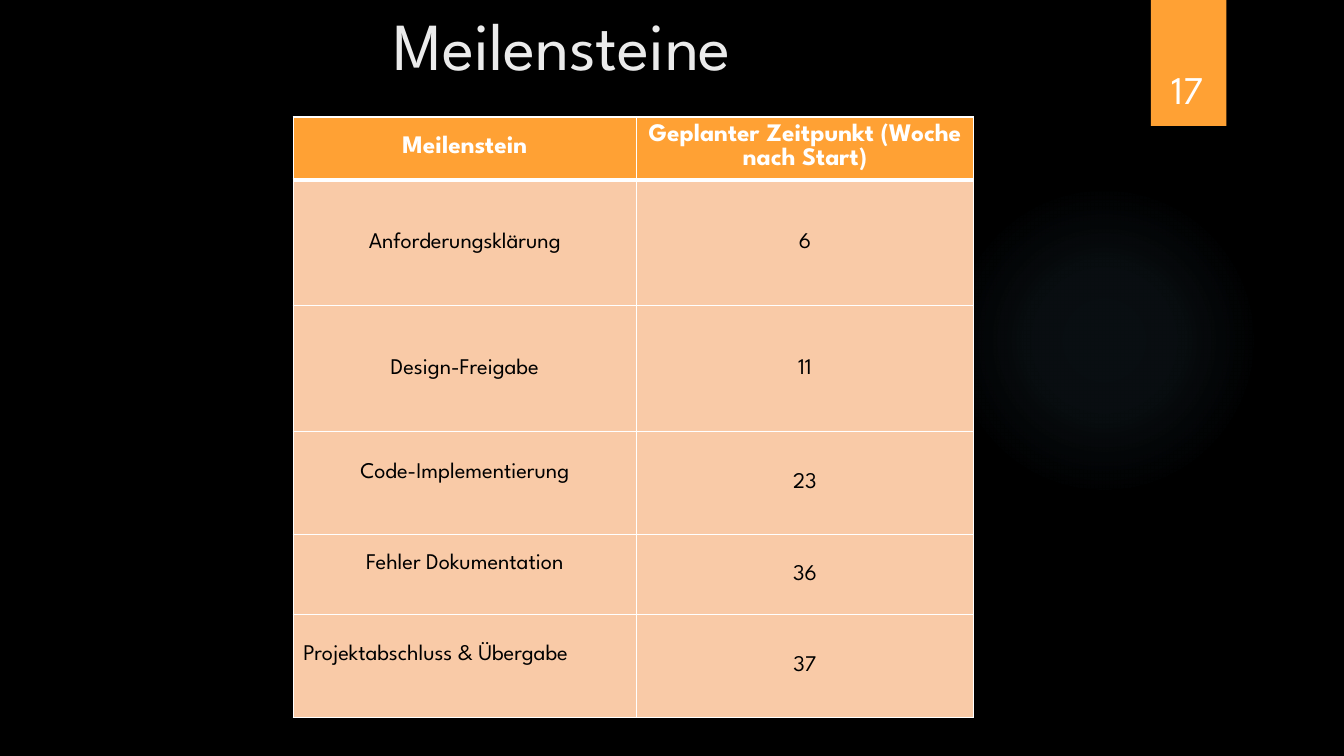
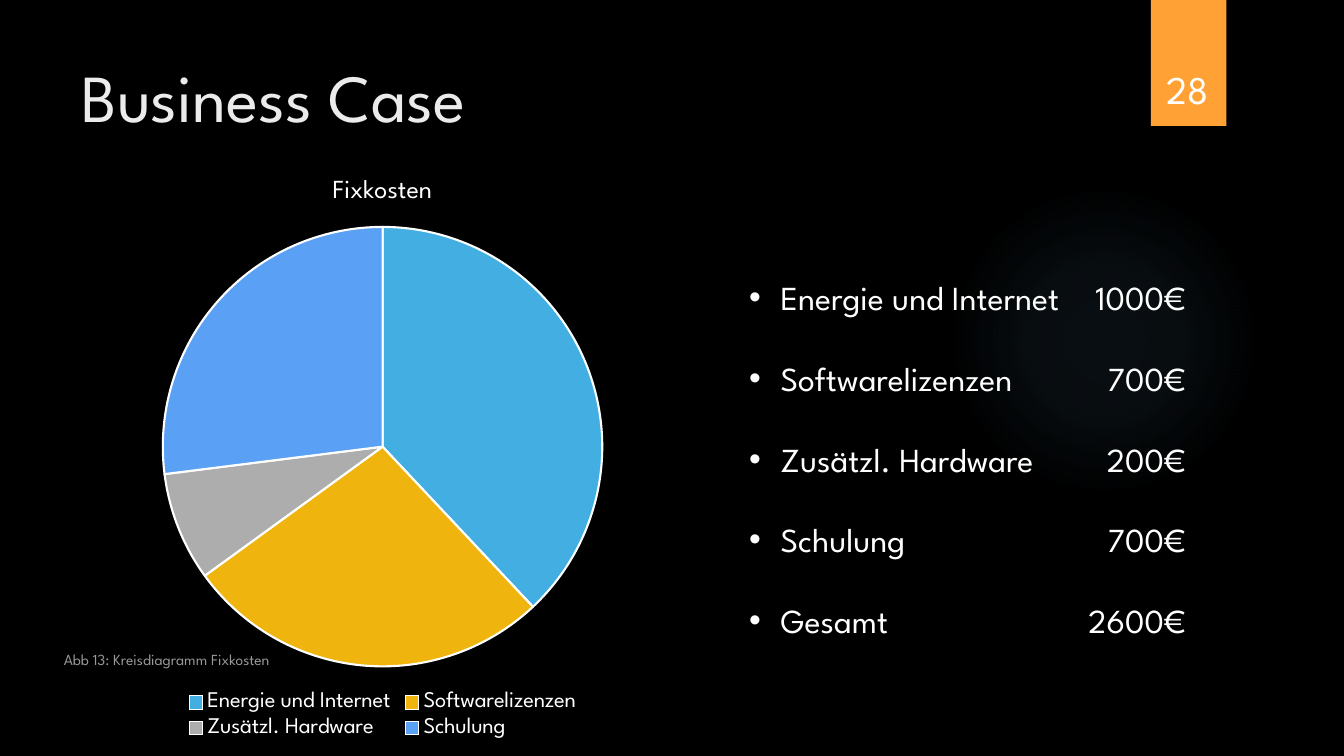
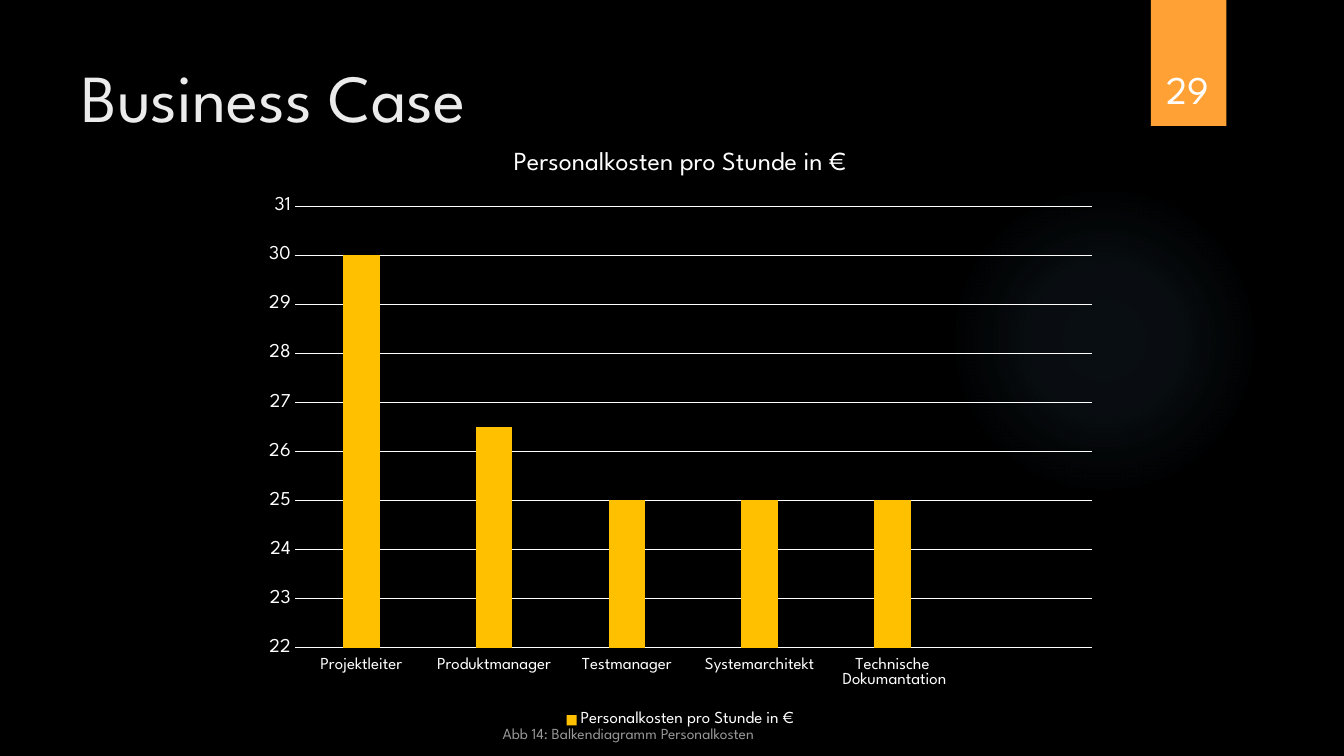
from lxml import etree
from pptx import Presentation
from pptx.chart import data
from pptx.dml import color
from pptx.enum import chart as kinds, shapes, text
from pptx.oxml import ns
from pptx.util import Pt

FONT = "League Spartan"
HUES = {
    "back": "000000", "white": "FFFFFF", "title": "EBEBEB", "tag": "FFA134",
    "cell": "F9CAA7", "ink": "000000", "glow": "7AC4F0", "bar": "FFC000",
    "sky": "43AEE2", "gold": "F0B40E", "gray": "ADADAD", "blue": "5AA0F5",
}
LEFT, MID = text.PP_ALIGN.LEFT, text.PP_ALIGN.CENTER
TOP, LOW = text.MSO_ANCHOR.TOP, text.MSO_ANCHOR.BOTTOM


def rgb(hue):
    return color.RGBColor.from_string(HUES[hue])


def paint(fill, hue):
    fill.solid()
    fill.fore_color.rgb = rgb(hue)


def style(font, size, hue="white", bold=False):
    font.name = FONT
    font.size = Pt(size)
    font.bold = bold
    font.color.rgb = rgb(hue)


def node(top, tag, **attrs):
    return etree.SubElement(top, ns.qn(tag), attrs)


def place(shape, box):
    shape.left, shape.top, shape.width, shape.height = map(Pt, box)


def write(frame, words, size, hue="white", align=LEFT, anchor=TOP, bold=False):
    frame.text = words
    frame.word_wrap = True
    frame.vertical_anchor = anchor
    for par in frame.paragraphs:
        par.alignment = align
        for run in par.runs:
            style(run.font, size, hue, bold)


def label(slide, box, words, size, align=LEFT):
    frame = slide.shapes.add_textbox(*map(Pt, box)).text_frame
    write(frame, words, size, align=align, anchor=LOW)
    return frame


def caption(slide, box, words):
    frame = label(slide, box, words, 11)
    for tint in frame.paragraphs[0].runs[0].font.fill._xPr.iter(ns.qn("a:srgbClr")):
        node(tint, "a:alpha", val="60000")


def plain(slide, kind, box):
    shape = slide.shapes.add_shape(kind, *map(Pt, box))
    shape.shadow.inherit = False
    shape.line.fill.background()
    return shape


def glow(shape):
    shape.fill.gradient()
    grad = shape.element.spPr.find(ns.qn("a:gradFill"))
    for kid in list(grad):
        grad.remove(kid)
    stops = node(grad, "a:gsLst")
    for pos, alpha in ((0, 7), (36, 6), (69, 0)):
        stop = node(stops, "a:gs", pos=str(pos * 1000))
        tint = node(stop, "a:srgbClr", val=HUES["glow"])
        node(tint, "a:alpha", val=str(alpha * 1000))
    way = node(grad, "a:path", path="circle")
    node(way, "a:fillToRect", l="50000", t="50000", r="50000", b="50000")


def setup(deck):
    paint(deck.slide_master.background.fill, "back")
    lay = deck.slide_layouts[5]
    for holder in list(lay.placeholders)[1:]:
        holder.element.getparent().remove(holder.element)
    return lay


def share(slide, lay):
    disc = plain(slide, shapes.MSO_SHAPE.OVAL, (677.5, 132, 222, 222))
    glow(disc)
    tag = plain(slide, shapes.MSO_SHAPE.RECTANGLE, (822, 0, 54, 90))
    paint(tag.fill, "tag")
    for shape in (disc, tag):
        lay.shapes.element.append(shape.element)


def start(deck, lay, title, page, box=(51, 36, 741, 110)):
    slide = deck.slides.add_slide(lay)
    place(slide.shapes.title, box)
    write(slide.shapes.title.text_frame, title, 48, "title")
    label(slide, (815.25, 23, 66, 60.5), str(page), 28, MID)
    return slide


def edge(cell, low):
    props = cell._tc.get_or_add_tcPr()
    widths = {"a:lnL": 1, "a:lnR": 1, "a:lnT": 1, "a:lnB": low}
    for spot, (tag, width) in enumerate(widths.items()):
        line = node(props, tag, w=str(Pt(width)))
        node(node(line, "a:solidFill"), "a:srgbClr", val=HUES["white"])
        props.insert(spot, line)


def grid(slide, left, top, cols, highs, rows):
    frame = slide.shapes.add_table(
        len(rows), len(cols), Pt(left), Pt(top), Pt(sum(cols)), Pt(sum(highs)))
    table = frame.table
    for col, width in zip(table.columns, cols):
        col.width = Pt(width)
    for num, (row, high, words) in enumerate(zip(table.rows, highs, rows)):
        row.height = Pt(high)
        head = num == 0
        for cell, word in zip(row.cells, words):
            write(cell.text_frame, word, 18 if head else 16,
                  "white" if head else "ink", MID, bold=head)
            cell.vertical_anchor = text.MSO_ANCHOR.MIDDLE
            if head:
                cell.margin_top, cell.margin_bottom = Pt(0), Pt(1.5)
            paint(cell.fill, "tag" if head else "cell")
            edge(cell, 3 if head else 1)
    return table


def costs(slide, box, rows):
    frame = slide.shapes.add_textbox(*map(Pt, box)).text_frame
    write(frame, "\n".join("\t".join(row) for row in rows), 24)
    for num, par in enumerate(frame.paragraphs):
        par.space_before = Pt(28.8 if num else 0)
        props = par._p.get_or_add_pPr()
        props.set("marL", str(Pt(22.5)))
        props.set("indent", str(Pt(-22.5)))
        node(props, "a:buFont", typeface="Arial")
        node(props, "a:buChar", char="•")
        node(node(props, "a:tabLst"), "a:tab", pos=str(Pt(312)), algn="r")


def graph(slide, kind, box, name, cats, vals, size):
    facts = data.CategoryChartData()
    facts.categories = cats
    facts.add_series(name, vals)
    chart = slide.shapes.add_chart(kind, *map(Pt, box), facts).chart
    style(chart.font, 10)
    chart.has_title = True
    chart.chart_title.text_frame.text = name
    style(chart.chart_title.text_frame.paragraphs[0].runs[0].font, 18.6)
    chart.has_legend = True
    chart.legend.position = kinds.XL_LEGEND_POSITION.BOTTOM
    chart.legend.include_in_layout = False
    style(chart.legend.font, size)
    return chart


def pie(slide, box, name, cats, vals, hues):
    chart = graph(slide, kinds.XL_CHART_TYPE.PIE, box, name, cats, vals, 16)
    for num, hue in enumerate(hues):
        form = chart.plots[0].series[0].points[num].format
        paint(form.fill, hue)
        paint(form.line.fill, "white")
        form.line.width = Pt(1.5)


def bars(slide, box, name, cats, vals):
    kind = kinds.XL_CHART_TYPE.COLUMN_CLUSTERED
    chart = graph(slide, kind, box, name, cats, vals, 12)
    plot = chart.plots[0]
    plot.vary_by_categories = False
    plot.gap_width = 264
    plot.overlap = -27
    paint(plot.series[0].format.fill, "bar")
    cat, val = chart.category_axis, chart.value_axis
    for axis, size in ((cat, 12), (val, 14)):
        axis.major_tick_mark = kinds.XL_TICK_MARK.NONE
        axis.minor_tick_mark = kinds.XL_TICK_MARK.NONE
        style(axis.tick_labels.font, size)
    cat.tick_label_position = kinds.XL_TICK_LABEL_POSITION.LOW
    val.minimum_scale, val.maximum_scale, val.major_unit = 22, 31, 1
    val.format.line.fill.background()
    val.has_major_gridlines = True
    for line in (cat.format.line, val.major_gridlines.format.line):
        paint(line.fill, "white")
        line.width = Pt(0.75)


def main():
    deck = Presentation()
    deck.slide_width, deck.slide_height = Pt(960), Pt(540)
    lay = setup(deck)

    slide = start(deck, lay, "Meilensteine", 17, (274, -1.5, 680, 110))
    share(slide, lay)
    table = grid(slide, 209.5, 83.5, (245, 241), (45, 90, 90, 73.5, 57, 73.5), (
        ("Meilenstein", "Geplanter Zeitpunkt (Woche nach Start)"),
        ("Anforderungsklärung", "6"),
        ("Design-Freigabe", "11"),
        ("Code-Implementierung", "23"),
        ("Fehler Dokumentation", "36"),
        ("Projektabschluss & Übergabe", "37"),
    ))
    for num in (3, 4, 5):
        table.cell(num, 0).margin_bottom = Pt(18.6)
    table.cell(5, 0).text_frame.paragraphs[0].alignment = LEFT

    slide = start(deck, lay, "Business Case", 28)
    cats = ("Energie und Internet", "Softwarelizenzen", "Zusätzl. Hardware", "Schulung")
    pie(slide, (-14.75, 110.75, 576, 420), "Fixkosten", cats, (38, 27, 8, 27),
        ("sky", "gold", "gray", "blue"))
    sums = ("1000€", "700€", "200€", "700€", "2600€")
    costs(slide, (528, 194.5, 384, 269), zip((*cats, "Gesamt"), sums))
    caption(slide, (38.5, 457, 304, 24), "Abb 13: Kreisdiagramm Fixkosten")

    slide = start(deck, lay, "Business Case", 29)
    bars(slide, (180, 90.5, 612, 432.5), "Personalkosten pro Stunde in €",
         ("Projektleiter", "Produktmanager", "Testmanager", "Systemarchitekt",
          "Technische\n Dokumantation", ""), (30, 26.5, 25, 25, 25, None))
    caption(slide, (352, 510, 304, 24), "Abb 14: Balkendiagramm Personalkosten")

    deck.save("out.pptx")


if __name__ == "__main__":
    main()
